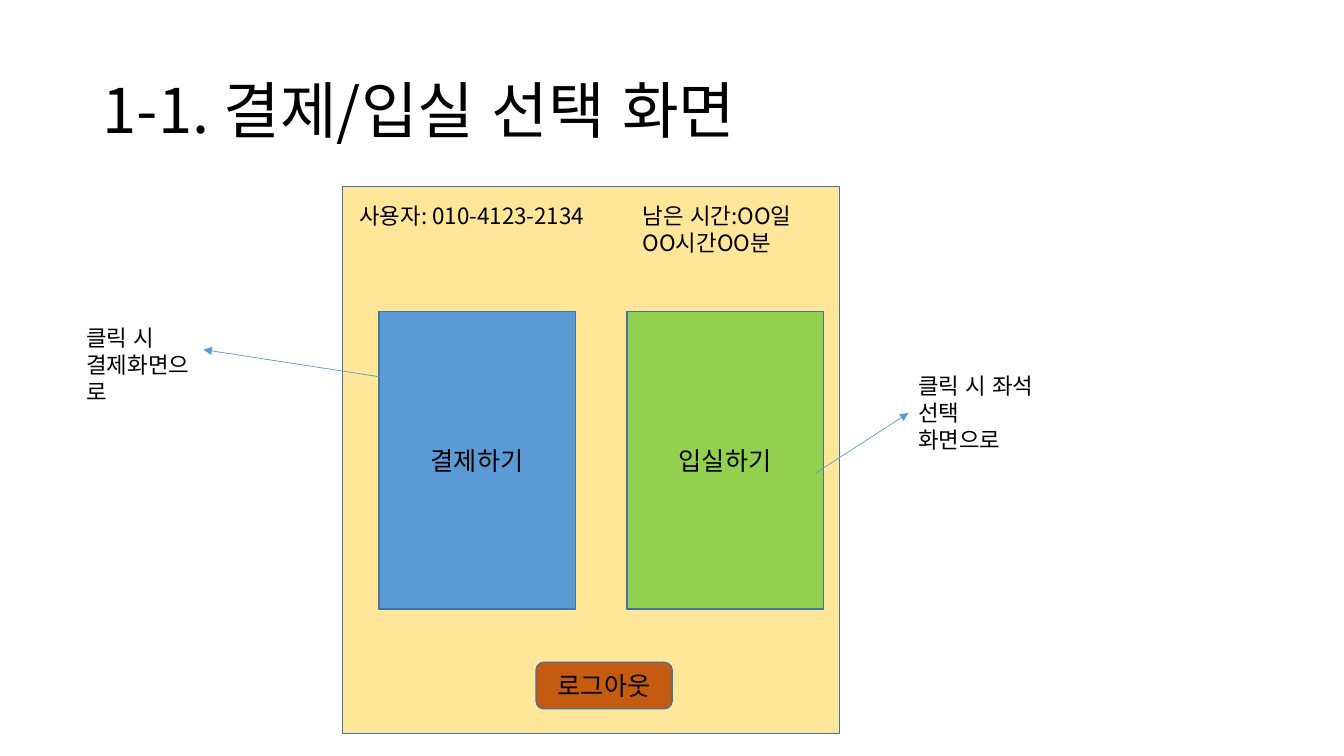
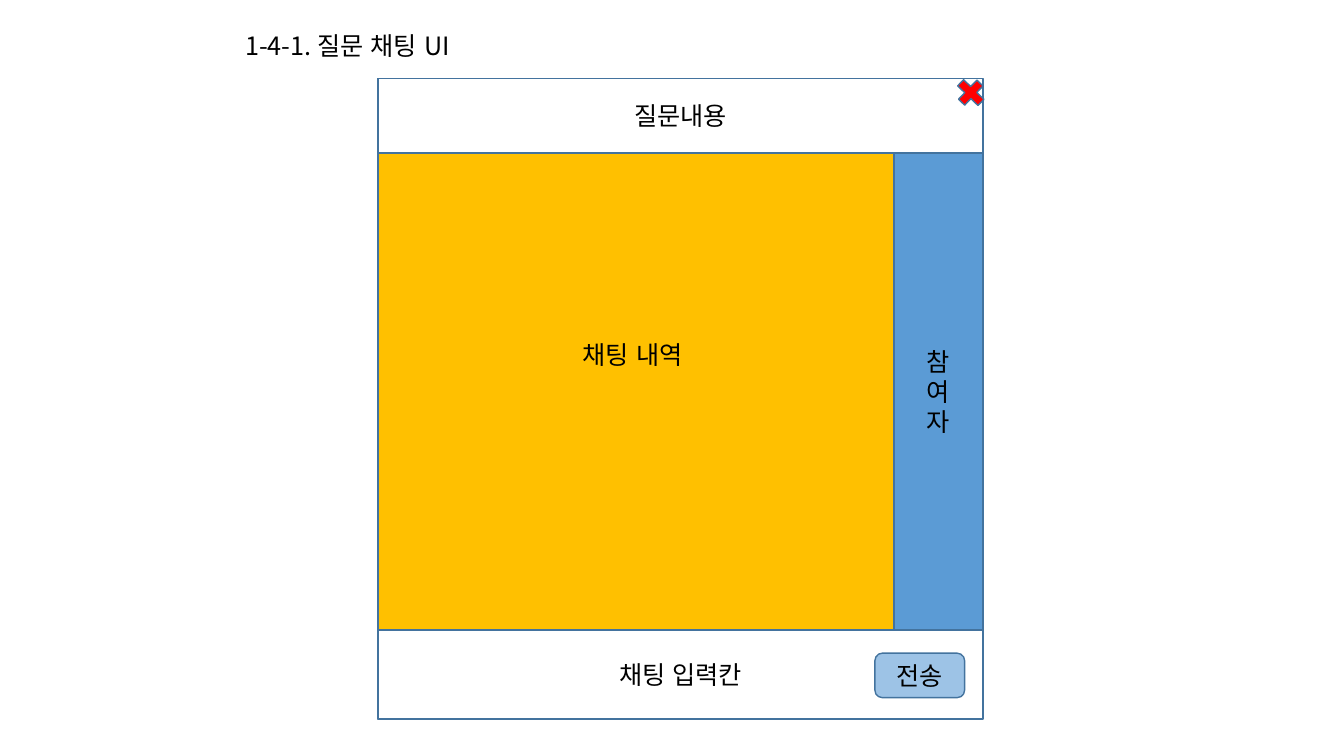
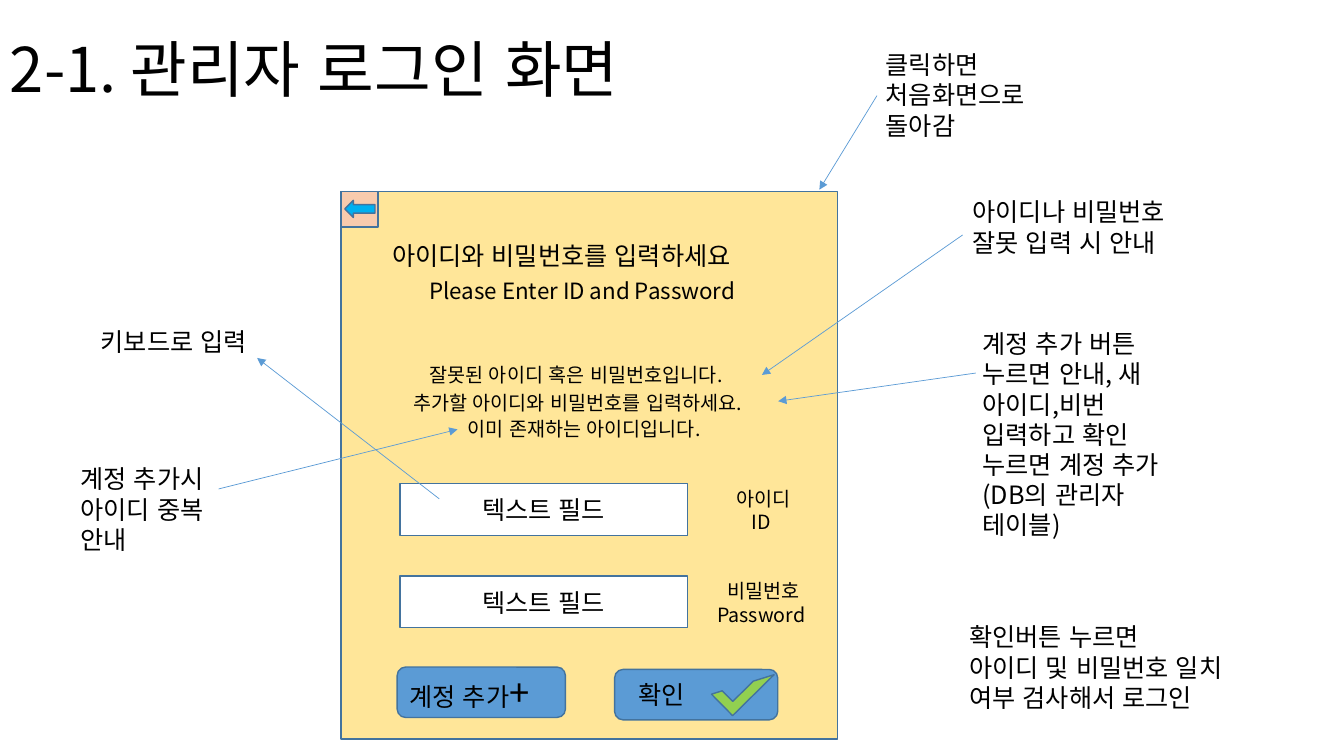
from lxml.etree import SubElement
from pptx import Presentation
from pptx.dml.color import RGBColor
from pptx.enum.lang import MSO_LANGUAGE_ID
from pptx.enum.shapes import MSO_CONNECTOR, MSO_SHAPE
from pptx.enum.text import MSO_ANCHOR, PP_ALIGN
from pptx.oxml.ns import qn
from pptx.util import Cm, Pt

# Shared style
FONT = "Noto Sans CJK KR"
BLACK, WHITE, OUTLINE, BLUE = "000000", "FFFFFF", "43739E", "5B9BD5"
SAND, GREEN, RUST, GOLD = "FFE699", "92D050", "C55A11", "FFC000"
RED, PALE_BLUE, PEACH, SKY = "FF0000", "9DC3E6", "F8CBAD", "00B0F0"
RECT, ROUND = MSO_SHAPE.RECTANGLE, MSO_SHAPE.ROUNDED_RECTANGLE
PANEL_SIZE = (12.52, 13.79)

# Content: texts are (left, top, width, height, size, text) in cm and points
CHOICE_TITLE = (2.34, 1.02, 29.21, 3.68, "1-1. 결제/입실 선택 화면")
CHOICE_TILES = [("결제하기", BLUE), ("입실하기", GREEN)]
CHOICE_TEXTS = [
    (8.81, 4.98, 6.48, 0.94, 16, "사용자: 010-4123-2134"),
    (15.95, 4.98, 4.62, 1.62, 16, "남은 시간:OO일OO시간OO분"),
    (1.93, 8.05, 3.56, 1.62, 16, "클릭 시 결제화면으로"),
    (22.89, 9.25, 3.56, 2.31, 16, "클릭 시 좌석 선택 화면으로"),
]
CHOICE_ARROWS = [(10.77, 9.68, 5.13, 8.81), (20.57, 11.91, 22.89, 10.41)]

CHAT_TITLE = (5.08, 0.64, 8.51, 1.02, 18, "1-4-1. 질문 채팅 UI")

LOGIN_TITLE = (0, 0, 17.4, 3.68, "2-1. 관리자 로그인 화면")
LOGIN_FIELDS = ["아이디\nID ", "비밀번호\nPassword "]
LOGIN_TEXTS = [
    (9.63, 5.92, 10.52, 1.02, 18, "아이디와 비밀번호를 입력하세요"),
    (10.57, 6.86, 8.64, 0.94, 16, "Please Enter ID and Password"),
    (10.57, 9.02, 8.64, 0.86, 14, "잘못된 아이디 혹은 비밀번호입니다."),
    (10.16, 9.73, 9.58, 0.86, 14, "추가할 아이디와 비밀번호를 입력하세요."),
    (11.53, 10.39, 8.64, 0.86, 14, "이미 존재하는 아이디입니다."),
    (22.07, 1.12, 4.22, 2.57, 18, "클릭하면 처음화면으로 돌아감"),
    (24.26, 4.83, 6.3, 1.8, 18, "아이디나 비밀번호 잘못 입력 시 안내"),
    (24.51, 8.15, 5.84, 4.88, 18,
     "계정 추가 버튼 누르면 안내, 새 아이디,비번 입력하고 확인 "
     "누르면 계정 추가(DB의 관리자 테이블)"),
    (24.18, 15.54, 7.7, 2.57, 18,
     "확인버튼 누르면\n아이디 및 비밀번호 일치 여부 검사해서 로그인"),
    (1.78, 11.56, 3.73, 2.57, 18, "계정 추가시 아이디 중복 안내"),
    (2.29, 8.1, 4.6, 1.02, 18, "키보드로 입력"),
]
LOGIN_ARROWS = [
    (22.1, 2.41, 20.65, 4.78), (24.26, 5.92, 19.2, 9.45),
    (24.59, 9.4, 19.61, 10.11), (5.51, 12.32, 11.53, 10.82),
    (11.07, 12.57, 6.48, 9.02),
]


# Drawing helpers
def color(value):
    return RGBColor.from_string(value)


def write(shape, text, size=18, align=PP_ALIGN.LEFT, anchor=MSO_ANCHOR.TOP):
    frame = shape.text_frame
    frame.word_wrap = True
    frame.vertical_anchor = anchor
    frame.text = text
    for para in frame.paragraphs:
        para.alignment = align
        font = para.font
        font.size, font.name = Pt(size), FONT
        font.color.rgb = color(BLACK)
        font.language_id = MSO_LANGUAGE_ID.KOREAN
        properties = para._p.pPr.find(qn("a:defRPr"))
        SubElement(properties, qn("a:ea"), typeface=FONT)
    return frame


def add_text(page, left, top, width, height, size, text, **style):
    box = page.shapes.add_textbox(Cm(left), Cm(top), Cm(width), Cm(height))
    return write(box, text, size, **style)


def add_title(page, left, top, width, height, text):
    frame = add_text(page, left, top, width, height, 44, text,
                     anchor=MSO_ANCHOR.MIDDLE)
    frame.paragraphs[0].line_spacing = 0.9


def add_block(page, kind, left, top, width, height, fill, text="",
              align=PP_ALIGN.CENTER, rotation=0):
    shape = page.shapes.add_shape(kind, Cm(left), Cm(top), Cm(width), Cm(height))
    shape.shadow.inherit = False
    shape.fill.solid()
    shape.fill.fore_color.rgb = color(fill)
    shape.line.color.rgb = color(OUTLINE)
    shape.line.width = Pt(1)
    shape.rotation = rotation
    if text:
        write(shape, text, align=align, anchor=MSO_ANCHOR.MIDDLE)
    return shape


def add_arrow(page, *ends):
    arrow = page.shapes.add_connector(MSO_CONNECTOR.STRAIGHT, *map(Cm, ends))
    arrow.line.color.rgb = color(BLUE)
    arrow.line.width = Pt(0.5)
    SubElement(arrow.line._get_or_add_ln(), qn("a:tailEnd"), type="triangle")
    SubElement(arrow._element.spPr, qn("a:effectLst"))


def annotate(page, texts, arrows):
    for text in texts:
        add_text(page, *text)
    for ends in arrows:
        add_arrow(page, *ends)


# Pages
def build_choice(page):
    add_title(page, *CHOICE_TITLE)
    add_block(page, RECT, 8.69 - 0.05, 4.7, *PANEL_SIZE, SAND)
    for index, (label, fill) in enumerate(CHOICE_TILES):
        add_block(page, RECT, 9.55 + index * 6.25, 7.85, 4.95, 7.5, fill, label)
    add_block(page, ROUND, 13.51, 16.69, 3.43, 1.17, RUST, "로그아웃")
    annotate(page, CHOICE_TEXTS, CHOICE_ARROWS)


def build_chat(page):
    left, top, width, height = 9.53, 1.98, 15.24, 16.14
    header, footer, sidebar = 1.88, 2.24, 2.24
    body_top, body_height = top + header, height - header - footer
    body_width = width - sidebar
    footer_top = body_top + body_height

    title = add_text(page, *CHAT_TITLE)
    title.margin_left = Cm(1.1)
    add_block(page, RECT, left, top, body_width, height, GOLD)
    add_block(page, RECT, left, top, width, header, WHITE, "질문내용")
    add_block(page, RECT, left, footer_top, width, footer, WHITE, "채팅 입력칸")
    add_block(page, MSO_SHAPE.MATH_PLUS, 23.98, 1.88, 0.97, 0.91, RED, rotation=43.9)
    add_block(page, RECT, left + body_width, body_top, sidebar, body_height,
              BLUE, "참\n여\n자")
    add_block(page, ROUND, 22.05, 16.46, 2.26, 1.12, PALE_BLUE, "전송")
    history = add_text(page, left, body_top, body_width, 11.79, 18, "채팅 내역 ",
                       align=PP_ALIGN.CENTER, anchor=MSO_ANCHOR.MIDDLE)
    history.margin_bottom = Cm(1.75)


def build_login(page):
    panel_left, panel_top = 8.59, 4.83
    add_title(page, *LOGIN_TITLE)
    add_block(page, RECT, panel_left, panel_top, *PANEL_SIZE, SAND)
    for index, label in enumerate(LOGIN_FIELDS):
        top = 12.19 + index * 2.33
        add_block(page, RECT, 10.08, top, 7.24, 1.3, WHITE, "텍스트 필드")
        add_text(page, 17.68, top - 0.05, 3.12, 1.45, 14, label,
                 align=PP_ALIGN.CENTER)

    # Buttons
    add_account = add_block(page, ROUND, 10.01, 16.81, 4.24, 1.27, BLUE,
                            "계정 추가", PP_ALIGN.LEFT)
    plus = add_account.text_frame.paragraphs[0].add_run()
    plus.text = "+"
    plus.font.size = Pt(26)
    confirm = add_block(page, ROUND, 15.49, 16.87, 4.11, 1.27, BLUE,
                        "확인", PP_ALIGN.LEFT)
    confirm.text_frame.margin_left = Cm(0.54)
    add_block(page, MSO_SHAPE.HALF_FRAME, 18.34, 16.51, 0.76, 1.47, GREEN,
              rotation=225.4)
    add_block(page, RECT, panel_left, panel_top, 0.94, 0.89, PEACH)
    add_block(page, MSO_SHAPE.LEFT_ARROW, 8.69, 5.05, 0.76, 0.43, SKY)
    annotate(page, LOGIN_TEXTS, LOGIN_ARROWS)


deck = Presentation()
deck.slide_width, deck.slide_height = Cm(33.87), Cm(19.05)
for build in (build_choice, build_chat, build_login):
    build(deck.slides.add_slide(deck.slide_layouts[6]))
deck.save("out.pptx")
